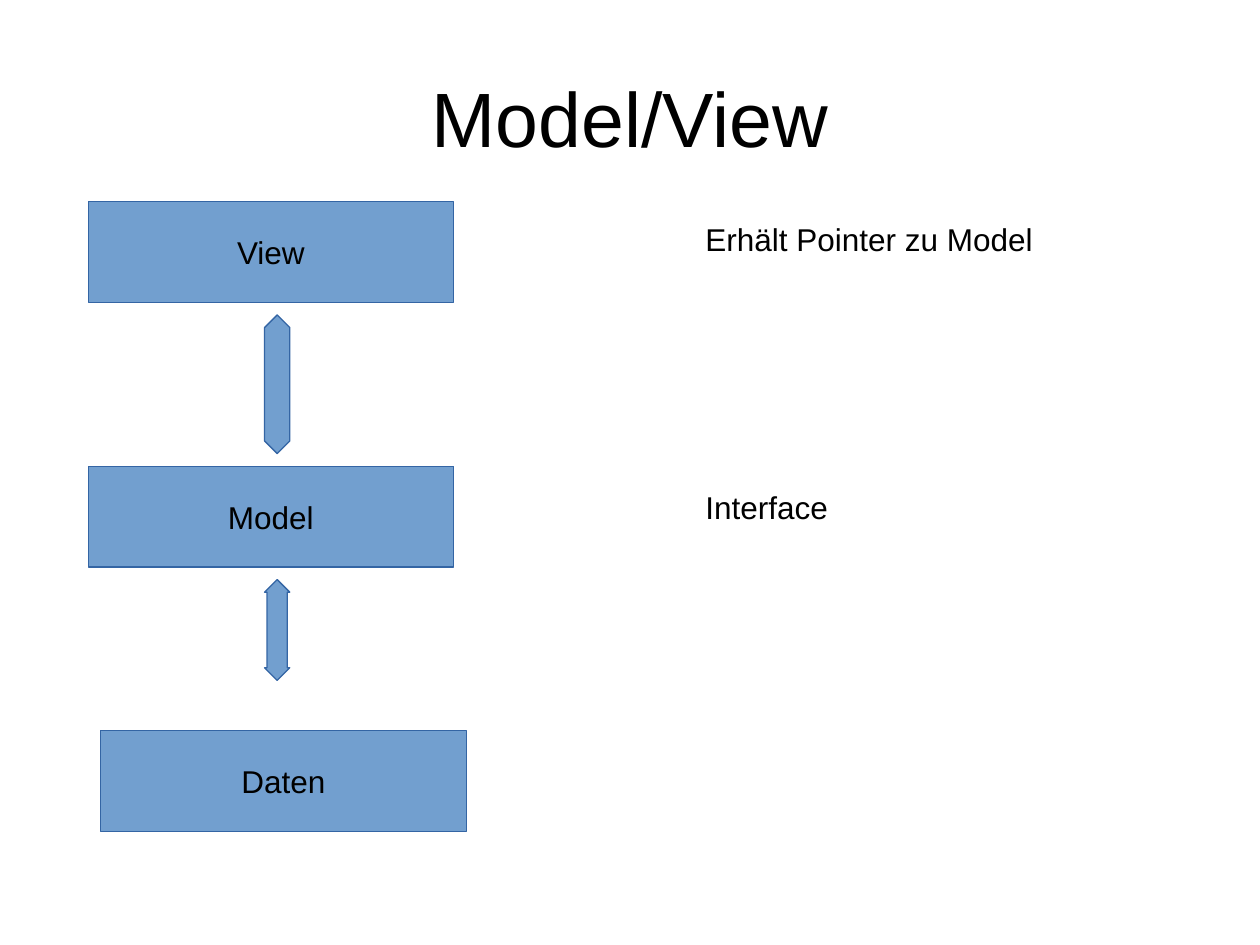
from pptx import Presentation
from pptx.dml.color import RGBColor
from pptx.enum.shapes import MSO_SHAPE as Preset
from pptx.enum.text import MSO_ANCHOR as Anchor, MSO_AUTO_SIZE as AutoSize, PP_ALIGN as Align
from pptx.util import Pt

COLORS = {"text": "000000", "fill": "729FCF", "line": "3465A4", "background": "FFFFFF"}
TITLE_ONLY = 5


class ModelViewSlide:
    """Holds the style and the current slide."""

    font_name = "Arial"
    title_size = 44
    text_size = 18

    def __init__(self, prs):
        self.slide = prs.slides.add_slide(prs.slide_layouts[TITLE_ONLY])
        background = self.slide.background.fill
        background.solid()
        background.fore_color.rgb = self.color("background")

    def color(self, key):
        return RGBColor.from_string(COLORS[key])

    def set_text(self, frame, text, size, align, anchor, wrap=True):
        frame.text = text
        frame.word_wrap = wrap
        frame.vertical_anchor = anchor
        paragraph = frame.paragraphs[0]
        paragraph.alignment = align
        font = paragraph.runs[0].font
        font.name = self.font_name
        font.size = Pt(size)
        font.color.rgb = self.color("text")

    def title(self, text, left, top, width, height):
        heading = self.slide.shapes.title
        heading.left, heading.top = Pt(left), Pt(top)
        heading.width, heading.height = Pt(width), Pt(height)
        frame = heading.text_frame
        frame.margin_left = frame.margin_right = frame.margin_top = frame.margin_bottom = 0
        self.set_text(frame, text, self.title_size, Align.CENTER, Anchor.MIDDLE)
        frame.auto_size = AutoSize.NONE

    def filled(self, preset, left, top, width, height):
        shape = self.slide.shapes.add_shape(preset, Pt(left), Pt(top), Pt(width), Pt(height))
        shape.shadow.inherit = False
        shape.fill.solid()
        shape.fill.fore_color.rgb = self.color("fill")
        shape.line.color.rgb = self.color("line")
        shape.line.width = Pt(0)
        return shape

    def layer(self, text, left, top, width=208.8, height=57.6):
        box = self.filled(Preset.FLOWCHART_PROCESS, left, top, width, height)
        self.set_text(box.text_frame, text, self.text_size, Align.CENTER, Anchor.MIDDLE, wrap=False)

    def arrow(self, top, height, left=151.2, width=14.4):
        link = self.filled(Preset.UP_DOWN_ARROW, left, top, width, height)
        # Each head takes a fifth of the arrow's height
        link.adjustments[0] = 0.5
        link.adjustments[1] = height / 5 / width

    def note(self, text, top, width, left=396, height=27.36):
        remark = self.slide.shapes.add_textbox(Pt(left), Pt(top), Pt(width), Pt(height))
        self.set_text(remark.text_frame, text, self.text_size, Align.LEFT, Anchor.TOP)


def main():
    prs = Presentation()
    prs.slide_width, prs.slide_height = Pt(720), Pt(540)
    page = ModelViewSlide(prs)
    page.title("Model/View", 36, 21.6, 648, 90)

    # Layers, evenly spaced from top to bottom
    first_top, layer_step = 115.2, 151.2
    for row, (name, left) in enumerate([("View", 50.4), ("Model", 50.4), ("Daten", 57.6)]):
        page.layer(name, left, first_top + row * layer_step)

    # Links between the layers
    for top, height in [(180, 79.2), (331.2, 57.6)]:
        page.arrow(top, height)

    # Remarks beside the layers
    page.note("Erhält Pointer zu Model", 122.4, 266.4)
    page.note("Interface", 275.04, 180)

    prs.save("out.pptx")


if __name__ == "__main__":
    main()
